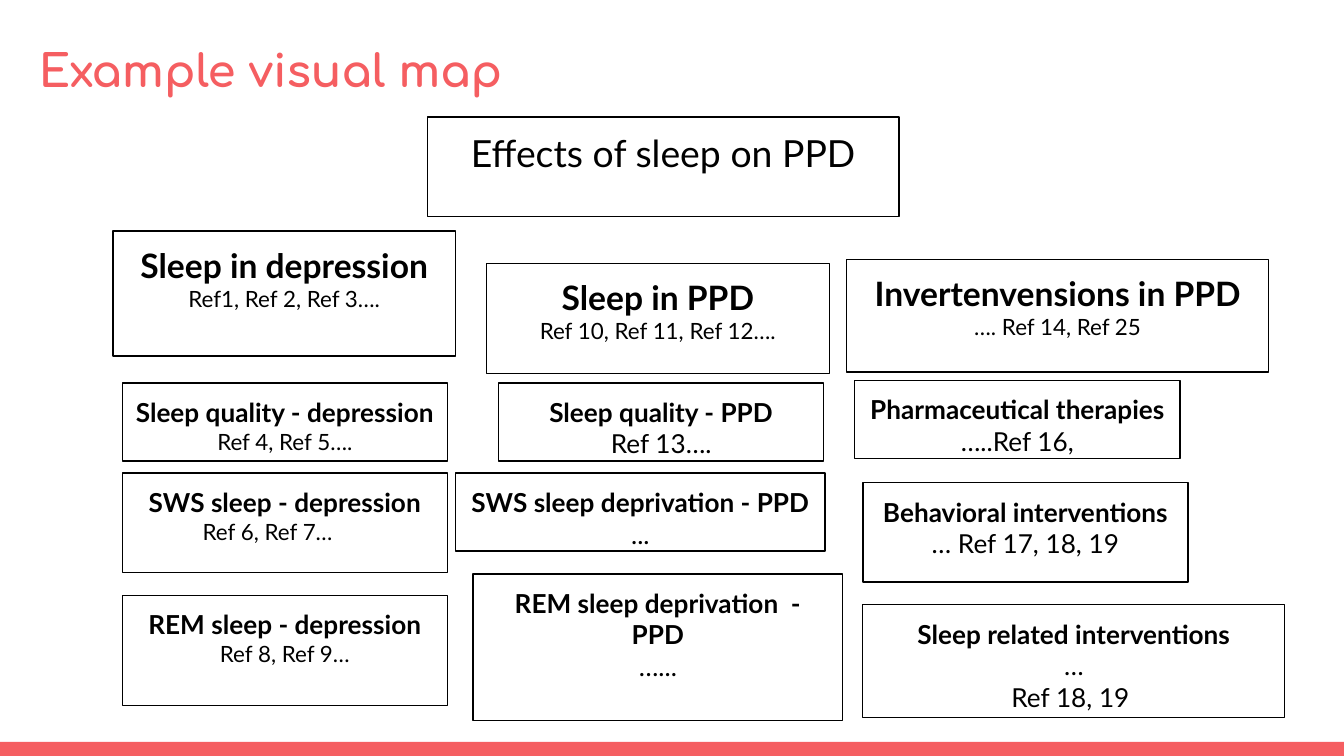
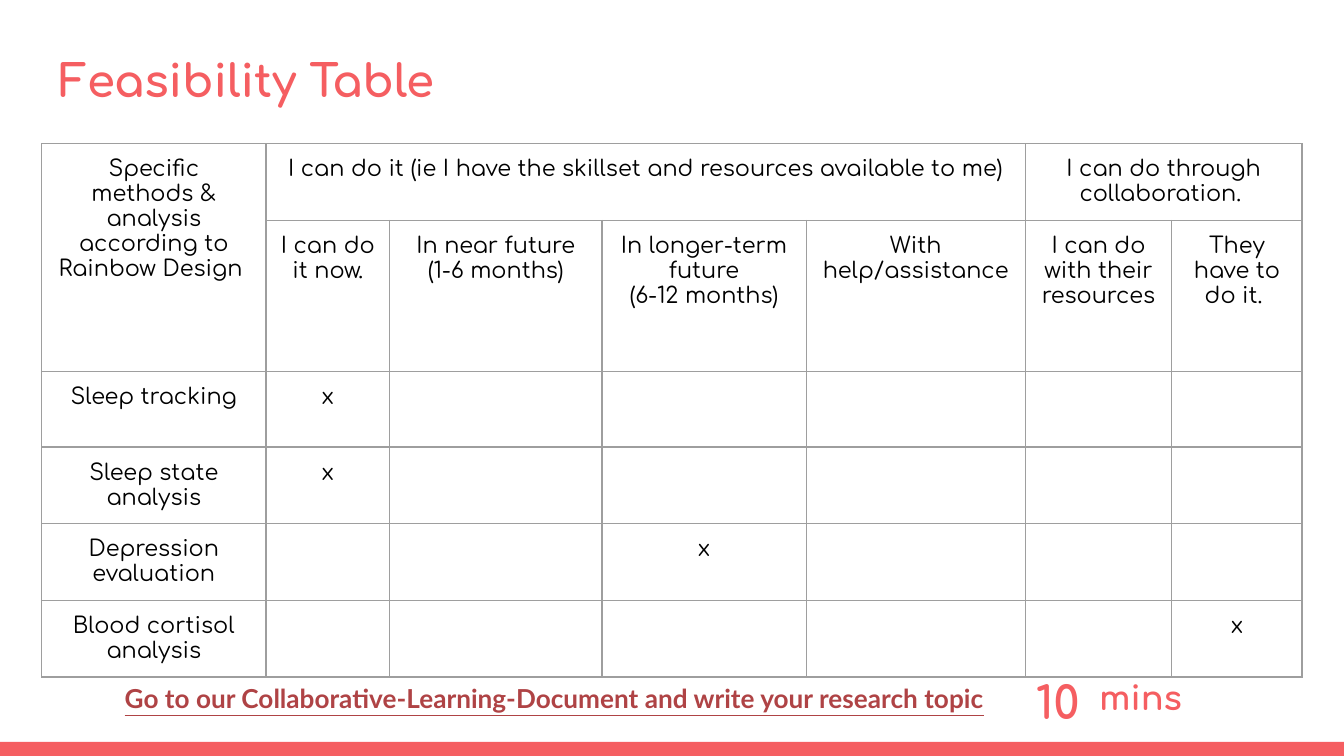
from lxml import etree
from pptx import Presentation
from pptx.dml.color import RGBColor
from pptx.enum import shapes, text
from pptx.oxml import ns
from pptx.util import Inches, Pt

CORAL = RGBColor(0xF5, 0x5E, 0x61)
BRICK = RGBColor(0xAF, 0x43, 0x45)
BLACK = RGBColor(0, 0, 0)
GRID_GREY = "9E9E9E"
HEADING_FONT = "Comfortaa"
BODY_FONT = "Lato"
CENTER = text.PP_ALIGN.CENTER
LEFT = text.PP_ALIGN.LEFT
TOP = text.MSO_ANCHOR.TOP


def write(frame, lines, size=12, font=BODY_FONT, color=BLACK, bold=False,
          underline=None, align=LEFT, anchor=TOP):
    frame.word_wrap = True
    frame.auto_size = text.MSO_AUTO_SIZE.NONE
    frame.vertical_anchor = anchor
    for side in ("left", "top", "right", "bottom"):
        setattr(frame, f"margin_{side}", Inches(0.1))
    for index, line in enumerate(lines):
        paragraph = frame.paragraphs[0] if index == 0 else frame.add_paragraph()
        paragraph.alignment = align
        words, line_size, line_bold = line if isinstance(line, tuple) else (line, size, bold)
        run = paragraph.add_run()
        run.text = words
        run.font.size = Pt(line_size)
        run.font.name = font
        run.font.bold = line_bold
        run.font.underline = underline
        run.font.color.rgb = color


def add_titled_slide(title, left, top):
    slide = deck.slides.add_slide(deck.slide_layouts[5])
    heading = slide.shapes.title
    heading.left, heading.top = Inches(left), Inches(top)
    heading.width, heading.height = Inches(9.32), Inches(0.68)
    write(heading.text_frame, [title], size=24, font=HEADING_FONT, color=CORAL,
          bold=True, anchor=text.MSO_ANCHOR.MIDDLE)
    return slide


deck = Presentation()
deck.slide_width = Inches(10)
deck.slide_height = Inches(5.625)

visual_map = add_titled_slide("Example visual map", 0.19, 0.18)

footer_band = visual_map.shapes.add_shape(
    shapes.MSO_SHAPE.RECTANGLE, 0, Inches(5.52), deck.slide_width, Inches(0.11))
footer_band.shadow.inherit = False
footer_band.fill.solid()
footer_band.fill.fore_color.rgb = CORAL
footer_band.line.fill.background()
deck.slide_master.shapes.element.insert(2, footer_band.element)

topics = [
    (3.18, 0.87, 3.51, 0.74, ("Effects of sleep on PPD", 20, False)),
    (3.62, 1.96, 2.55, 0.82, ("Sleep in PPD", 18, True), ("Ref 10, Ref 11, Ref 12….", 12, False)),
    (3.71, 2.85, 2.42, 0.58, ("Sleep quality - PPD", 14, True), ("Ref 13….", 14, False)),
    (3.39, 3.52, 2.75, 0.58, ("SWS sleep deprivation - PPD", 14, True), ("...", 14, False)),
    (0.84, 1.72, 2.55, 0.93, ("Sleep in depression", 18, True), ("Ref1, Ref 2, Ref 3….", 12, False)),
    (0.91, 2.85, 2.42, 0.58, ("Sleep quality - depression", 14, True), ("Ref 4, Ref 5….", 12, False)),
    (0.91, 3.52, 2.42, 0.74, ("SWS sleep - depression", 14, True), ("Ref 6, Ref 7…", 12, False)),
    (3.52, 4.27, 2.75, 1.09, ("REM sleep deprivation  - PPD", 14, True), ("…...", 14, False)),
    (0.91, 4.43, 2.42, 0.82, ("REM sleep - depression", 14, True), ("Ref 8, Ref 9…", 12, False)),
    (6.3, 1.93, 3.14, 0.84, ("Invertenvensions in PPD", 18, True), ("…. Ref 14, Ref 25", 12, False)),
    (6.36, 2.83, 2.42, 0.58, ("Pharmaceutical therapies", 14, True), ("…..Ref 16,", 14, False)),
    (6.42, 3.59, 2.42, 0.74, ("Behavioral interventions", 14, True), ("… Ref 17, 18, 19", 14, False)),
    (6.42, 4.5, 3.14, 0.84, ("Sleep related interventions", 14, True), ("…", 14, False),
     ("Ref 18, 19 ", 14, False)),
]
for left, top, width, height, *lines in topics:
    topic = visual_map.shapes.add_shape(
        shapes.MSO_SHAPE.RECTANGLE, Inches(left), Inches(top), Inches(width), Inches(height))
    topic.shadow.inherit = False
    topic.fill.background()
    topic.line.color.rgb = BLACK
    topic.line.width = Pt(0.75)
    write(topic.text_frame, lines, align=CENTER)
    if lines[0][0] == "SWS sleep - depression":
        references = topic.text_frame.paragraphs[1]
        references.alignment = LEFT
        references._p.get_or_add_pPr().set("marL", str(Inches(0.5)))

feasibility = add_titled_slide("Feasibility Table", 0.34, 0.25)
column_widths = [1.67, 0.92, 1.58, 1.52, 1.63, 1.09, 0.97]
row_heights = [0.56, 0.75, 0.56, 0.36, 0.36, 0.35]
methods = feasibility.shapes.add_table(
    len(row_heights), len(column_widths), Inches(0.31), Inches(1.07),
    Inches(sum(column_widths)), Inches(sum(row_heights))).table
methods.first_row = False
methods.horz_banding = False
for column, width in zip(methods.columns, column_widths):
    column.width = Inches(width)
for row, height in zip(methods.rows, row_heights):
    row.height = Inches(height)

for first, last in [((0, 0), (1, 0)), ((0, 1), (0, 4)), ((0, 5), (0, 6))]:
    methods.cell(*first).merge(methods.cell(*last))

entries = {
    (0, 0): ["Specific methods & analysis according to Rainbow Design "],
    (0, 1): ["I can do it (ie I have the skillset and resources available to me)"],
    (0, 5): ["I can do through collaboration. "],
    (1, 1): ["I can do it now."],
    (1, 2): ["In near future (1-6 months)"],
    (1, 3): ["In longer-term", "future", "(6-12 months)"],
    (1, 4): ["With help/assistance"],
    (1, 5): ["I can do with their resources"],
    (1, 6): ["They have to do it. "],
}
plan = [("Sleep tracking", 1), ("Sleep state analysis", 1),
        ("Depression evaluation", 3), ("Blood cortisol analysis", 6)]
for row, (method, marked_column) in enumerate(plan, start=2):
    entries[row, 0] = [method]
    entries[row, marked_column] = ["x"]

for row in range(len(row_heights)):
    for column in range(len(column_widths)):
        cell = methods.cell(row, column)
        for side in ("left", "top", "right", "bottom"):
            setattr(cell, f"margin_{side}", Inches(0.1))
        properties = cell._tc.get_or_add_tcPr()
        for edge in ("a:lnL", "a:lnR", "a:lnT", "a:lnB"):
            border = etree.SubElement(properties, ns.qn(edge), w=str(Pt(0.75)))
            ink = etree.SubElement(border, ns.qn("a:solidFill"))
            etree.SubElement(ink, ns.qn("a:srgbClr"), val=GRID_GREY)
        cell.fill.background()
        if (row, column) in entries:
            write(cell.text_frame, entries[row, column], font=HEADING_FONT, align=CENTER)
            body = cell.text_frame._txBody.bodyPr
            body.attrib.clear()
            for child in list(body):
                body.remove(child)

captions = [
    (0.83, 4.98, 6.7, 0.69, "Go to our Collaborative-Learning-Document and write your research topic",
     dict(size=14, color=BRICK, underline=True)),
    (7.61, 4.92, 0.66, 0.51, "10", dict(size=24, font=HEADING_FONT, color=CORAL)),
    (8.08, 4.94, 0.82, 0.31, "mins", dict(size=18, font=HEADING_FONT, color=CORAL)),
]
for left, top, width, height, words, style in captions:
    caption = feasibility.shapes.add_textbox(
        Inches(left), Inches(top), Inches(width), Inches(height))
    write(caption.text_frame, [words], bold=True, **style)

deck.save("out.pptx")
